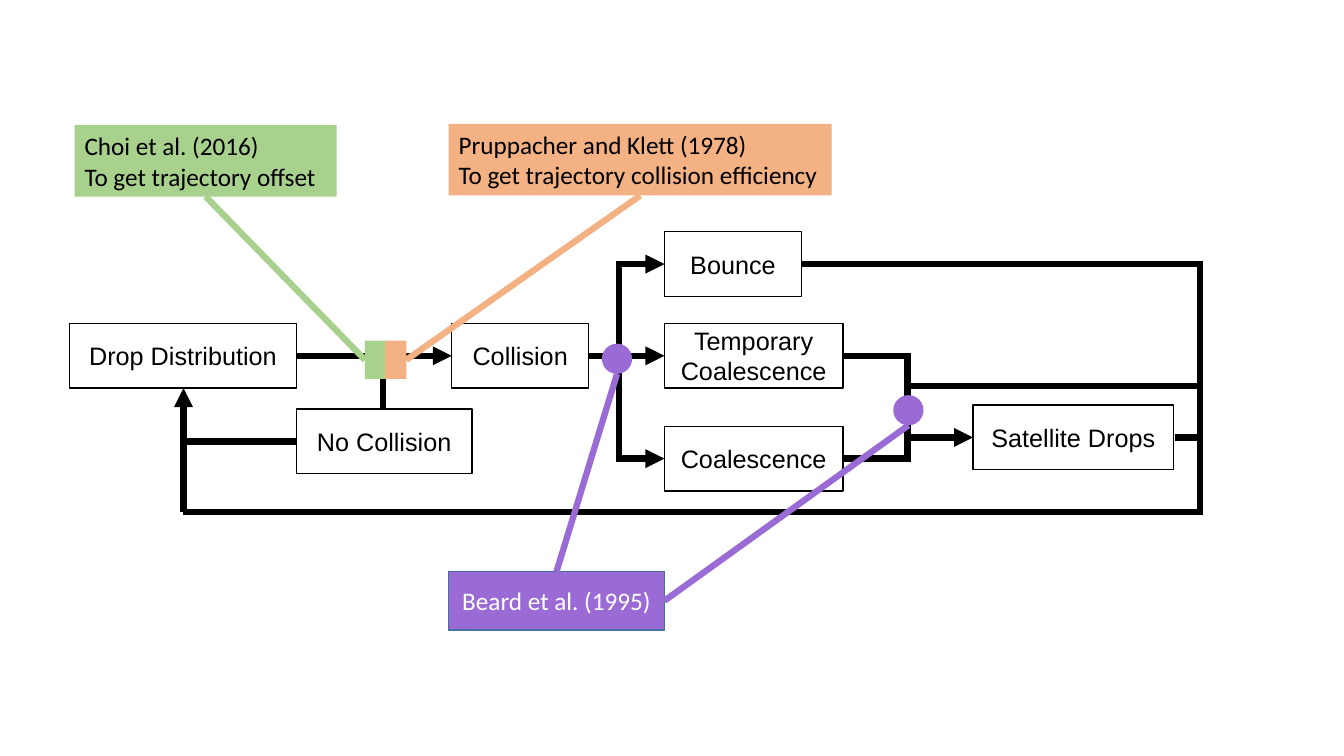
"""Build the drop collision flow chart with its literature notes."""
from pptx import Presentation
from pptx.dml.color import RGBColor as Color
from pptx.enum.shapes import MSO_CONNECTOR as Link, MSO_SHAPE as Form
from pptx.enum.text import MSO_ANCHOR as Anchor, PP_ALIGN as Align
from pptx.oxml.ns import qn
from pptx.util import Inches, Pt
from lxml.etree import SubElement

BLACK = Color(0, 0, 0)
WHITE = Color(255, 255, 255)
GREEN = Color(0xA9, 0xD1, 0x8E)
ORANGE = Color(0xF4, 0xB1, 0x83)
PURPLE = Color(0x9A, 0x6B, 0xD5)
BLUE = Color(0x43, 0x73, 0x9E)
CELL = Inches(0.1)


def cells(*spans):
    """Turn grid cells into lengths."""
    return [round(span * CELL) for span in spans]


def block(slide, box, at, form=Form.RECTANGLE, fill=None, edge=None):
    """Place a plain shape relative to the box."""
    x, y, w, h = at
    shape = slide.shapes.add_shape(form, *cells(box[0] + x, box[1] + y, w, h))
    shape.shadow.inherit = False
    if fill is None:
        shape.fill.background()
    else:
        shape.fill.solid()
        shape.fill.fore_color.rgb = fill
    if edge is None:
        shape.line.fill.background()
    else:
        shape.line.color.rgb = edge
        shape.line.width = Pt(1)
    return shape


def label(shape, text, face, color=BLACK, align=Align.CENTER, wrap=True):
    """Write formatted text into a shape."""
    frame = shape.text_frame
    frame.text = text
    frame.word_wrap = wrap
    frame.vertical_anchor = Anchor.MIDDLE
    for line in frame.paragraphs:
        line.alignment = align
        for run in line.runs:
            run.font.name = face
            run.font.size = Pt(18)
            run.font.color.rgb = color


def stroke(slide, box, ends, color=BLACK, arrow=False):
    """Draw a thick line, with an arrowhead if asked."""
    x1, y1, x2, y2 = ends
    left, top = box[:2]
    line = slide.shapes.add_connector(
        Link.STRAIGHT, *cells(left + x1, top + y1, left + x2, top + y2))
    line.line.color.rgb = color
    line.line.width = Pt(4.5)
    if arrow:
        SubElement(line.line._get_or_add_ln(), qn("a:tailEnd"), type="triangle")
    SubElement(line._element.spPr, qn("a:effectLst"))


def flow(slide, box):
    """Draw the steps and the lines that join them."""
    right, low = box[2:]
    tall = 6.4
    for text, x, y, wide in (
            ("Collision", 37.9, 9.1, 13.6),
            ("Bounce", 59, 0, 13.6),
            ("Drop Distribution", 0, 9.1, 22.5),
            ("Coalescence", 59, 19.3, 17.7),
            ("Temporary Coalescence", 59, 9.1, 17.7),
            ("Satellite Drops", 89.6, 17.2, 19.9),
            ("No Collision", 22.5, 17.6, 17.4)):
        label(block(slide, box, (x, y, wide, tall), edge=BLACK), text, "Arial")

    high, main, deep, drops, miss = 3.2, 12.3, 22.5, 20.4, 20.8
    back, gate, split, merge = 11.3, 31.1, 54.5, 83.1
    half = 0.3
    for ends in (
            (22.5, main, 37.9, main),
            (51.5, main, 59, main),
            (split - half, high, 59, high),
            (split - half, deep, 59, deep),
            (merge, drops, 89.6, drops),
            (back, low, back, 15.5)):
        stroke(slide, box, ends, arrow=True)
    for ends in (
            (split, high - half, split, deep),
            (merge, main - half, merge, deep + half),
            (76.7, deep, merge, deep),
            (76.7, main, merge, main),
            (back, low, right + half, low),
            (72.6, high, right, high),
            (merge, 15.3, right, 15.3),
            (right, high - half, right, low),
            (109.6, drops, right, drops),
            (back, miss, 22.5, miss),
            (gate, main, gate, 17.6)):
        stroke(slide, box, ends)


def notes(slide, box):
    """Draw the cited works, their markers and leaders."""
    for text, at, color in (
            ("Choi et al. (2016)\nTo get trajectory offset",
             (0, 0.1, 26, 7.1), GREEN),
            ("Pruppacher and Klett (1978)\nTo get trajectory collision efficiency",
             (37.1, 0, 38, 7.1), ORANGE)):
        card = block(slide, box, at, fill=color)
        label(card, text, "Calibri", align=Align.LEFT, wrap=False)
    card = block(slide, box, (37.1, 44.4, 21.4, 5.8), fill=PURPLE, edge=BLUE)
    label(card, "Beard et al. (1995)", "Calibri", WHITE)

    for form, at, ends, color in (
            (Form.RECTANGLE, (28.8, 21.5, 2.1, 3.8),
             (13, 7.2, 28.8, 23.4), GREEN),
            (Form.RECTANGLE, (30.8, 21.5, 2.1, 3.8),
             (56.1, 7.1, 32.9, 23.4), ORANGE),
            (Form.OVAL, (52.3, 21.8, 3, 3),
             (53.8, 24.8, 47.8, 44.4), PURPLE),
            (Form.OVAL, (81.2, 26.9, 3, 3),
             (82.7, 29.9, 58.5, 47.3), PURPLE)):
        block(slide, box, at, form, color)
        stroke(slide, box, ends, color)


def main():
    """Build and save the slide."""
    deck = Presentation()
    deck.slide_width, deck.slide_height = Inches(13.33), Inches(7.5)
    slide = deck.slides.add_slide(deck.slide_layouts[6])
    flow(slide, (6.9, 23, 112.1, 27.8))
    notes(slide, (7.4, 12.3, 84.2, 50.2))
    deck.save("out.pptx")


main()
